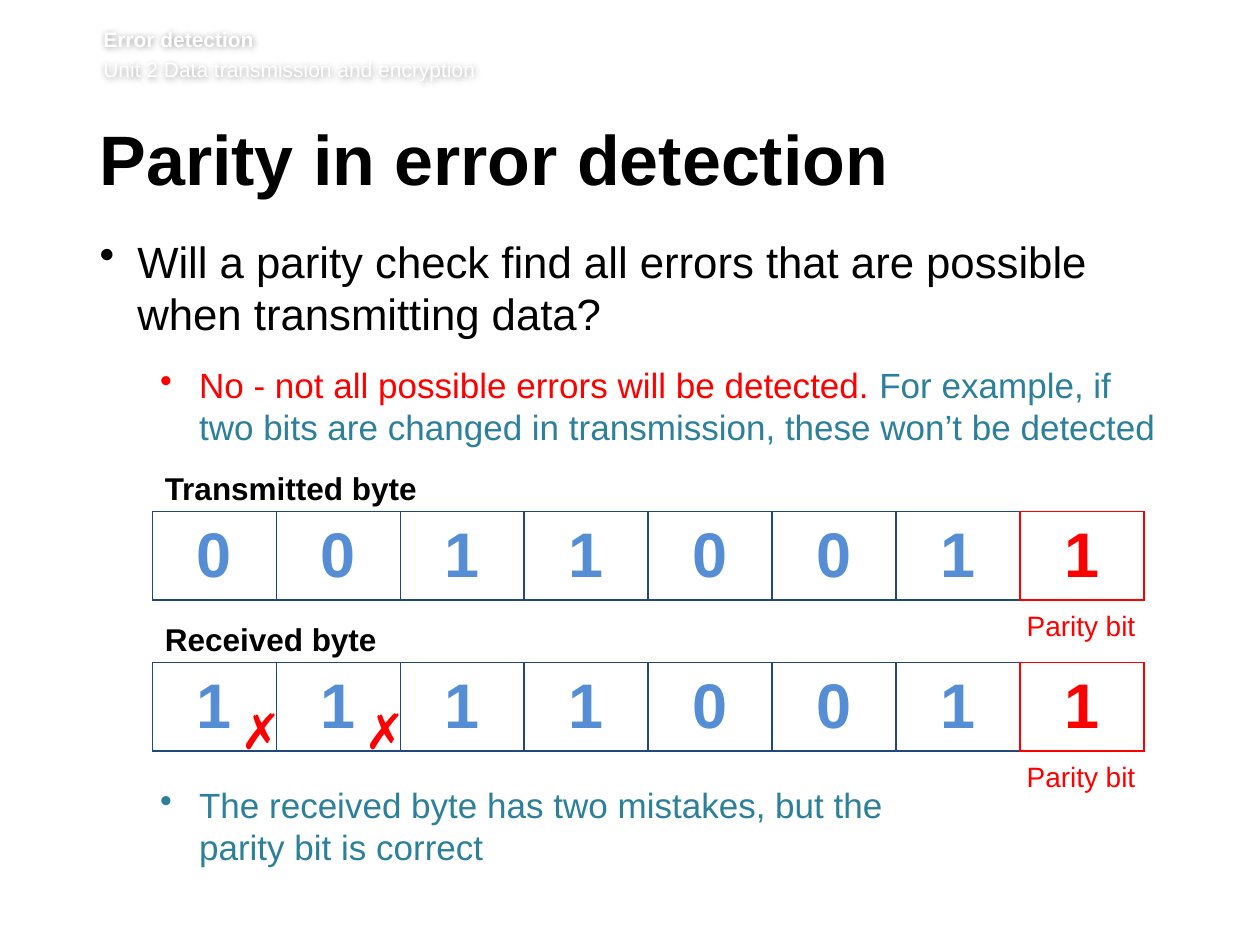
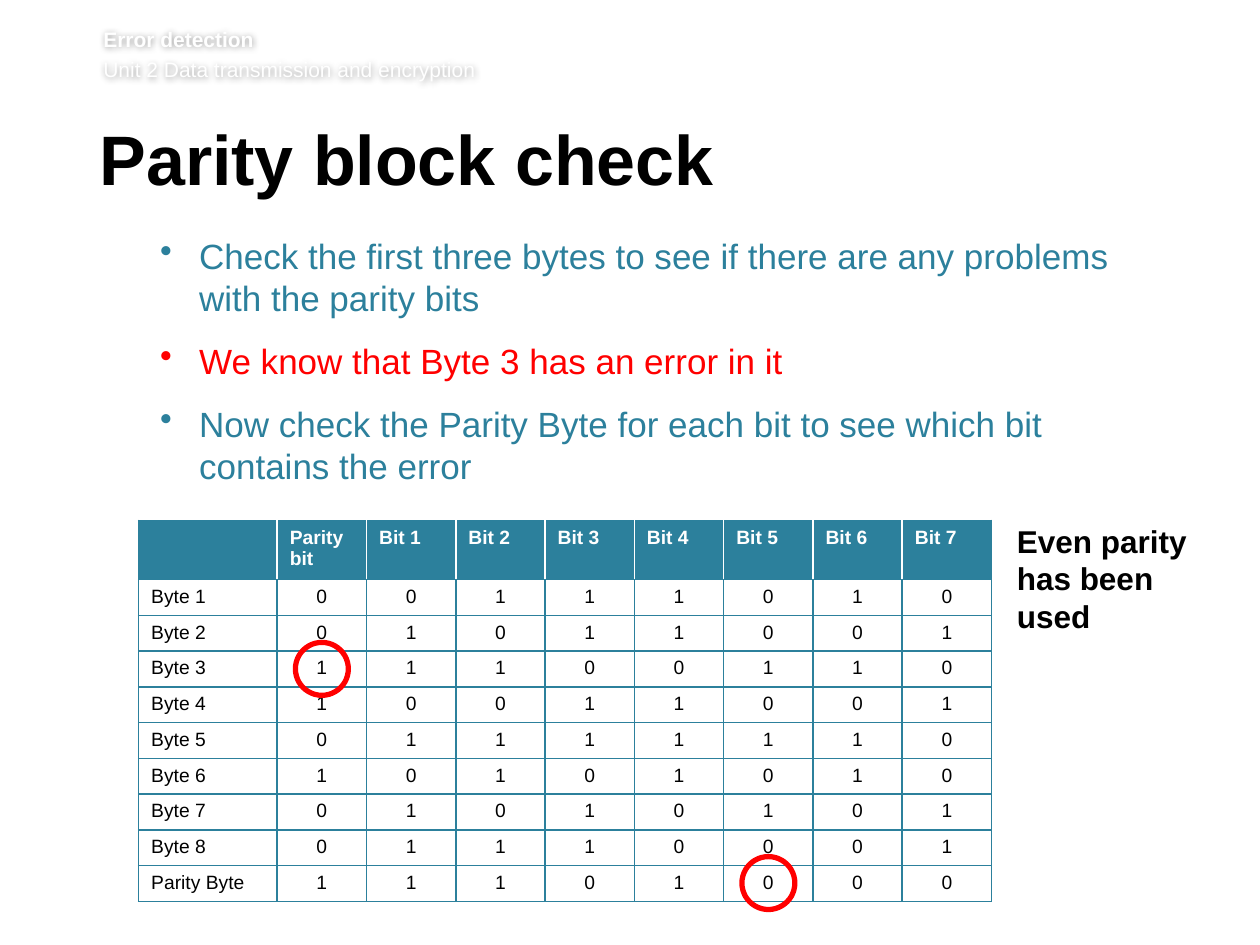
from lxml import etree
from pptx import Presentation
from pptx.dml.color import RGBColor
from pptx.enum.shapes import MSO_SHAPE
from pptx.enum.text import MSO_ANCHOR, PP_ALIGN
from pptx.oxml.ns import qn
from pptx.util import Inches, Pt

LEFT, CENTER = PP_ALIGN.LEFT, PP_ALIGN.CENTER
MIDDLE, TOP = MSO_ANCHOR.MIDDLE, MSO_ANCHOR.TOP
OVAL = MSO_SHAPE.OVAL

BLACK = RGBColor(0, 0, 0)
WHITE = RGBColor(255, 255, 255)
RED = RGBColor(255, 0, 0)
TEAL = RGBColor(0x2C, 0x80, 0x9C)
NAVY = RGBColor(0x1F, 0x49, 0x7D)
SKY = RGBColor(0x55, 0x8E, 0xD5)

FONT = "Arial"
COLS, ROWS = 100, 75  # the slide grid: ten steps to the inch
INSET = (1, 0.5, 1, 0.5)

HEAD = ["", "Parity bit"] + [f"Bit {n}" for n in range(1, 8)]
BYTES = ["00111010", "01011001", "11100110", "10011001", "01111110",
         "10101010", "01010101", "01110001", "11101000"]
NAMES = [f"Byte {n}" for n in range(1, 9)] + ["Parity Byte"]


def grid(*steps):
    return [Inches(step / 10) for step in steps]


def style(para, size, color, bold=False, align=LEFT):
    para.alignment = align
    font = para.font
    font.name, font.size, font.bold = FONT, Pt(size), bold
    font.color.rgb = color


def add_box(slide, box, inset=INSET):
    shape = slide.shapes.add_textbox(*grid(*box))
    frame = shape.text_frame
    frame.word_wrap = True
    (frame.margin_left, frame.margin_top,
     frame.margin_right, frame.margin_bottom) = grid(*inset)
    return shape


def add_label(slide, box, text, size, color, bold=False, align=LEFT, inset=INSET):
    para = add_box(slide, box, inset).text_frame.paragraphs[0]
    para.text = text
    style(para, size, color, bold, align)
    return para


def add_list(slide, box, items):
    """Each item is (level, runs); each run is (text, color)."""
    frame = add_box(slide, box, (0, 0, 1, 0.5)).text_frame
    for i, (level, runs) in enumerate(items):
        para = frame.add_paragraph() if i else frame.paragraphs[0]
        indent, hang, size, after = ((3, 3, 25, 14), (7.9, 3.1, 20, 12))[level]
        props = para._p.get_or_add_pPr()
        props.set("marL", str(Inches(indent / 10)))
        props.set("indent", str(-Inches(hang / 10)))
        etree.SubElement(props, qn("a:buChar")).set("char", "•")
        para.space_after = Pt(after)
        style(para, size, runs[0][1])
        for text, color in runs:
            for n, line in enumerate(text.split("\n")):
                if n:
                    para.add_line_break()
                run = para.add_run()
                run.text = line
                if color != runs[0][1]:
                    run.font.color.rgb = color


def set_edges(cell, colors):
    """Draw the left, right, top and bottom edges of a cell."""
    props = cell._tc.get_or_add_tcPr()
    for i, (side, color) in enumerate(zip("LRTB", colors)):
        line = etree.Element(qn(f"a:ln{side}"), w=str(Pt(1)))
        fill = etree.SubElement(line, qn("a:solidFill"))
        etree.SubElement(fill, qn("a:srgbClr")).set("val", str(color))
        props.insert(i, line)


def fill_cell(cell, text, size, color, edges, back=None, bold=False,
              align=CENTER, anchor=TOP):
    cell.text = text
    cell.vertical_anchor = anchor
    style(cell.text_frame.paragraphs[0], size, color, bold, align)
    if back is None:
        cell.fill.background()
    else:
        cell.fill.solid()
        cell.fill.fore_color.rgb = back
    set_edges(cell, edges)


def add_grid(slide, box, widths, heights):
    table = slide.shapes.add_table(len(heights), len(widths), *grid(*box)).table
    for col, width in zip(table.columns, grid(*widths)):
        col.width = width
    for row, height in zip(table.rows, grid(*heights)):
        row.height = height
    return table


def add_glow(shape):
    """Put a soft grey shadow right behind the text."""
    effects = etree.SubElement(shape._element.spPr, qn("a:effectLst"))
    shadow = etree.SubElement(effects, qn("a:outerShdw"), blurRad=str(Pt(4)),
                              dist="0", dir="0", algn="ctr", rotWithShape="0")
    color = etree.SubElement(shadow, qn("a:srgbClr"), val="000000")
    etree.SubElement(color, qn("a:alpha"), val="40000")


def start_slide(deck, title):
    slide = deck.slides.add_slide(deck.slide_layouts[6])
    band = add_box(slide, (8.2, 1.7, 88.2, 4.9), (0, 0, 0, 0.5))
    frame = band.text_frame
    frame.text = "Error detection\nUnit 2 Data transmission and encryption"
    for i, para in enumerate(frame.paragraphs):
        style(para, 12, WHITE, bold=i == 0)
        para.space_before = Pt(2.9 * i)
    frame.margin_top = Pt(2.9)
    add_glow(band)
    para = add_label(slide, (7.9, 9.9, 85.5, 7.3), title, 40, BLACK, True,
                     inset=(0, 0.5, 1, 0.5))
    para.line_spacing = Pt(39)
    return slide


def add_byte(slide, box, name, bits, wrong=()):
    """One byte as a row of bits, with its name above and parity label below."""
    left, top, width, height = box
    step = width / len(bits)
    last = len(bits) - 1
    table = add_grid(slide, box, [step] * len(bits), [height])
    for i, bit in enumerate(bits):
        ink, line = (RED, RED) if i == last else (SKY, NAVY)
        right = RED if i >= last - 1 else NAVY
        fill_cell(table.cell(0, i), bit, 36, ink, (line, right, line, line),
                  bold=True, anchor=MIDDLE)
    add_label(slide, (left, top - 3.9, 23, 4), name, 18, BLACK, True)
    add_label(slide, (left + width - 11.3, top + 7.2, 12.6, 3.7),
              "Parity bit", 16, RED, align=CENTER)
    for i in wrong:
        add_label(slide, (left + i * step + 6, top + 2.5, 17.2, 5.7), "✗", 28, RED)


def add_block(slide, box, rings):
    """The parity block, with a ring round each (row, column) in rings."""
    left, top, width, height = box
    first, head = 11, 4.7
    step = (width - first) / (len(HEAD) - 1)
    drop = (height - head) / len(BYTES)
    table = add_grid(slide, box, [first] + [step] * (len(HEAD) - 1),
                     [head] + [drop] * len(BYTES))
    last = len(HEAD) - 1
    for c, text in enumerate(HEAD):
        edges = (WHITE if c else TEAL, WHITE if c < last else TEAL, TEAL, TEAL)
        fill_cell(table.cell(0, c), text, 11, WHITE, edges, TEAL, True, LEFT)
    for r, (name, bits) in enumerate(zip(NAMES, BYTES), 1):
        for c, text in enumerate([name, *bits]):
            fill_cell(table.cell(r, c), text, 11, BLACK, [TEAL] * 4,
                      align=CENTER if c else LEFT)
    size = 4.2
    for r, c in rings:
        x = left + first + (c - 0.5) * step
        y = top + head + (r - 0.5) * drop
        ring = slide.shapes.add_shape(
            OVAL, *grid(x - size / 2, y - size / 2, size, size))
        ring.shadow.inherit = False
        ring.fill.background()
        ring.line.color.rgb = RED
        ring.line.width = Pt(3)


def error_slide(deck):
    slide = start_slide(deck, "Parity in error detection")
    add_list(slide, (7.9, 18.6, 85.3, 17.5), [
        (0, [("Will a parity check find all errors that are possible "
              "when transmitting data?", BLACK)]),
        (1, [("No - not all possible errors will be detected. ", RED),
             ("For example, if two bits are changed in transmission, "
              "these won’t be detected", TEAL)])])
    add_byte(slide, (12.1, 40.6, 78.7, 7), "Transmitted byte", "00110011")
    add_byte(slide, (12.1, 52.6, 78.7, 6.6), "Received byte", "11110011", (0, 1))
    add_list(slide, (7.9, 62.2, 70, 7.5), [
        (1, [("The received byte has two mistakes, but the\n"
              "parity bit is correct", TEAL)])])


def block_slide(deck):
    slide = start_slide(deck, "Parity block check")
    add_list(slide, (7.9, 18.6, 85.3, 21), [
        (1, [("Check the first three bytes to see if there are any problems "
              "with the parity bits", TEAL)]),
        (1, [("We know that Byte 3 has an error in it", RED)]),
        (1, [("Now check the Parity Byte for each bit to see which bit "
              "contains the error", TEAL)])])
    add_block(slide, (11, 41.3, 67.7, 30.2), [(3, 1), (9, 6)])
    add_label(slide, (80.7, 41.4, 14.2, 9.1), "Even parity has been used",
              18, BLACK, True, inset=(0, 0, 0, 0))


def main():
    deck = Presentation()
    deck.slide_width, deck.slide_height = grid(COLS, ROWS)
    error_slide(deck)
    block_slide(deck)
    deck.save("out.pptx")


if __name__ == "__main__":
    main()
